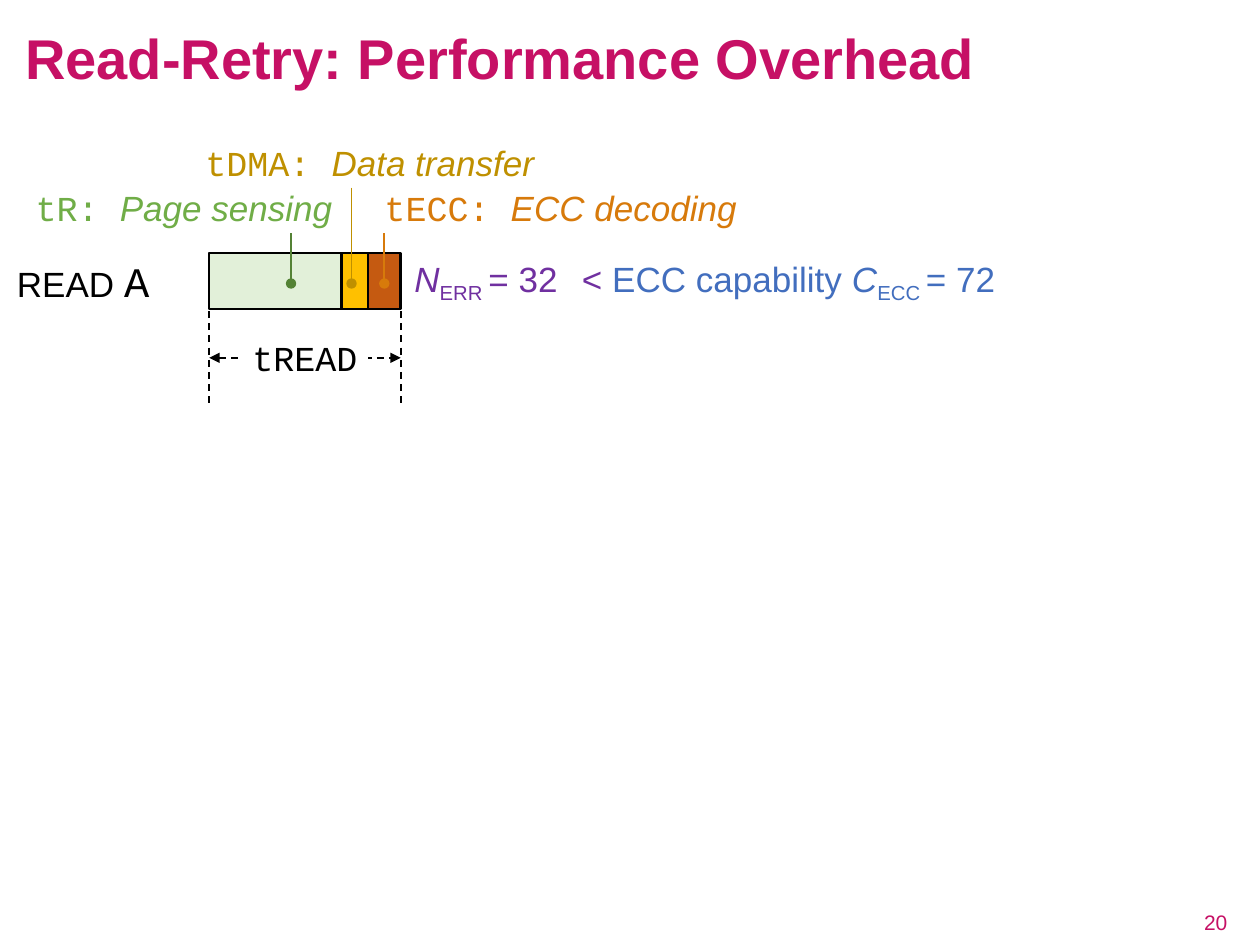
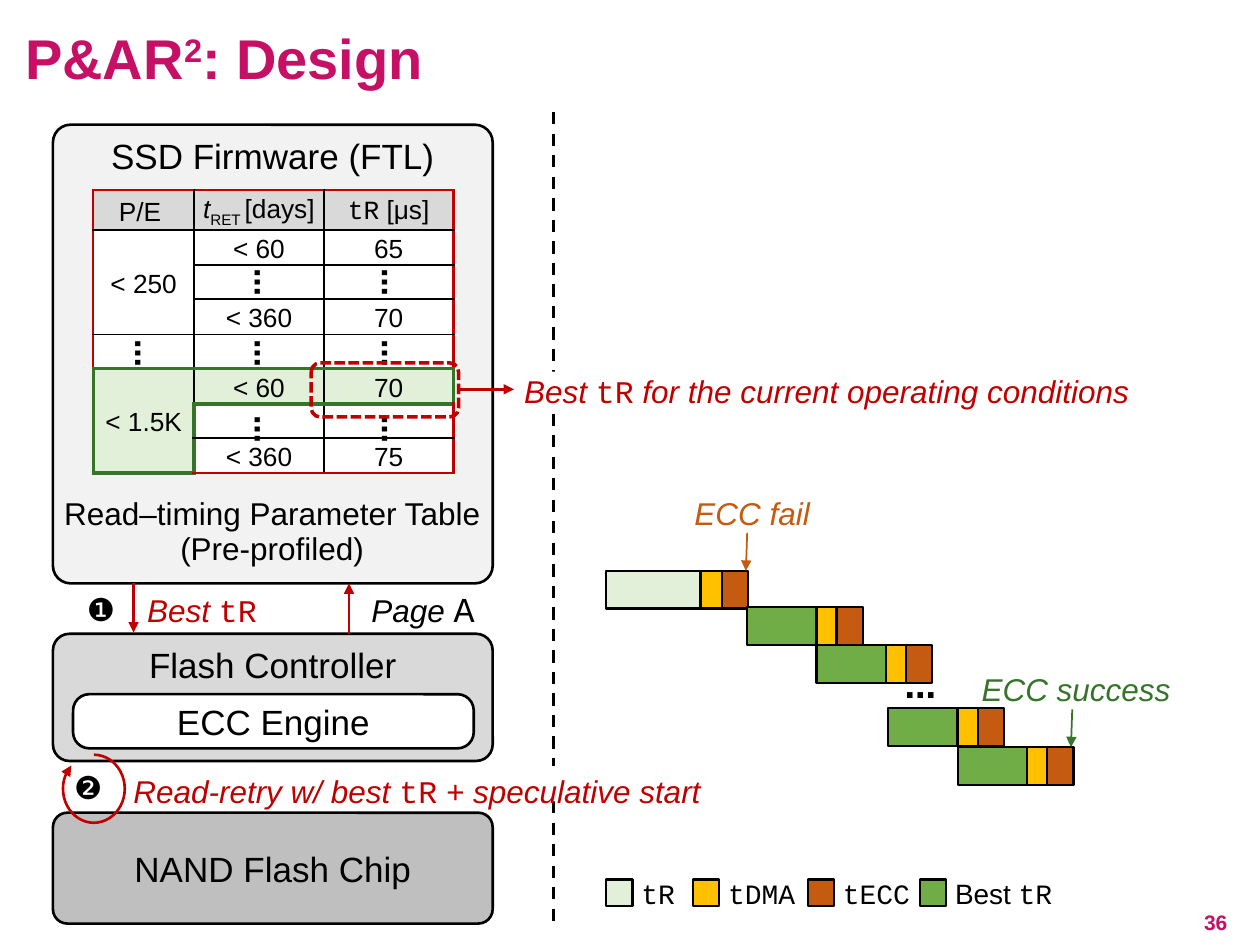
"""Build two slides on NAND flash read-retry overhead and the P&AR² design."""
from dataclasses import dataclass
from typing import NamedTuple, Optional

import pptx
import pptx.dml.color
import pptx.enum.dml
import pptx.enum.shapes
import pptx.enum.text
import pptx.oxml
import pptx.oxml.ns
import pptx.util
from lxml import etree

Inches = pptx.util.Inches
SHAPES = pptx.enum.shapes.MSO_SHAPE
ALIGN = pptx.enum.text.PP_ALIGN
ANCHOR = pptx.enum.text.MSO_ANCHOR
DASH = pptx.enum.dml.MSO_LINE

COLORS = {
    "title": "C61065", "black": "000000", "white": "FFFFFF",
    "errors": "7030A0", "capability": "426EBE",
    "sensing": "E2F0D9", "transfer": "FFC000", "decoding": "C55A11", "best": "70AD47",
    "sensing_pin": "548235", "transfer_pin": "BF9000", "decoding_pin": "D77A0B",
    "red": "C00000", "green": "357429",
    "firmware": "F2F2F2", "controller": "D9D9D9", "chip": "BFBFBF",
}
MONO = "Courier New"
DEFAULT_INSETS = (0.1, 0.05, 0.1, 0.05)
NO_INSETS = (0, 0, 0, 0)
LABEL_INSETS = (0.08, 0, 0, 0)
BLOCK_INSETS = (0, 0.04, 0, 0.04)


class Box(NamedTuple):
    left: float
    top: float
    width: float
    height: float


@dataclass
class Span:
    text: str
    size: float = 20
    color: str = "black"
    font: str = "Arial"
    italic: bool = False
    bold: bool = False
    baseline: int = 0


@dataclass
class Stroke:
    color: str = "black"
    width: float = 1.25
    dash: Optional[int] = None
    head: Optional[str] = None
    tail: Optional[str] = None


class Pin(NamedTuple):
    box: Box
    symbol: str
    meaning: str
    color: str
    pin_color: str
    x: float
    start: float
    insets: tuple


class Block(NamedTuple):
    box: Box
    corner: float
    fill: str
    label: str
    anchor: int


OUTLINE = Stroke()


def rgb(name: str) -> pptx.dml.color.RGBColor:
    return pptx.dml.color.RGBColor.from_string(COLORS[name])


def apply(target: object, values: dict) -> None:
    for name, value in values.items():
        setattr(target, name, value)


def write(frame, spans: list[Span], align=ALIGN.LEFT) -> None:
    paragraph = frame.paragraphs[0]
    paragraph.alignment = align
    for span in spans:
        run = paragraph.add_run()
        run.text = span.text
        apply(run.font, {"name": span.font, "size": pptx.util.Pt(span.size),
                         "italic": span.italic, "bold": span.bold})
        run.font.color.rgb = rgb(span.color)
        if span.baseline:
            run.font._element.set("baseline", str(span.baseline * 1000))


def fit(frame, insets: tuple, anchor) -> None:
    sides = ("margin_left", "margin_top", "margin_right", "margin_bottom")
    apply(frame, {"word_wrap": True, "vertical_anchor": anchor,
                  **dict(zip(sides, map(Inches, insets)))})


def add_text(slide, box: Box, spans: list[Span], align=ALIGN.LEFT, insets: tuple = NO_INSETS,
             anchor=ANCHOR.MIDDLE, fill: Optional[str] = None, rotation: float = 0):
    label = slide.shapes.add_textbox(*map(Inches, box))
    label.rotation = rotation
    if fill:
        label.fill.solid()
        label.fill.fore_color.rgb = rgb(fill)
    fit(label.text_frame, insets, anchor)
    write(label.text_frame, spans, align)
    return label


def draw_stroke(line, stroke: Stroke) -> None:
    line.color.rgb = rgb(stroke.color)
    line.width = pptx.util.Pt(stroke.width)
    if stroke.dash:
        line.dash_style = stroke.dash
    for tag, kind in (("a:headEnd", stroke.head), ("a:tailEnd", stroke.tail)):
        if kind:
            etree.SubElement(line._get_or_add_ln(), pptx.oxml.ns.qn(tag), type=kind)


def add_shape(slide, box: Box, fill: Optional[str], stroke: Stroke = OUTLINE,
              kind=SHAPES.RECTANGLE, adjustments: tuple = ()):
    shape = slide.shapes.add_shape(kind, *map(Inches, box))
    shape.shadow.inherit = False
    for index, value in enumerate(adjustments):
        shape.adjustments[index] = value
    if fill:
        shape.fill.solid()
        shape.fill.fore_color.rgb = rgb(fill)
    else:
        shape.fill.background()
    draw_stroke(shape.line, stroke)
    return shape


def add_line(slide, start: tuple, end: tuple, stroke: Stroke) -> None:
    connector = slide.shapes.add_connector(
        pptx.enum.shapes.MSO_CONNECTOR.STRAIGHT, *map(Inches, start + end))
    draw_stroke(connector.line, stroke)
    etree.SubElement(connector._element.spPr, pptx.oxml.ns.qn("a:effectLst"))


def add_read(slide, left: float, top: float, widths: tuple, height: float, first: str) -> None:
    for width, phase in zip(widths, (first, "transfer", "decoding")):
        add_shape(slide, Box(left, top, width, height), phase)
        left += width


def start_slide(deck, title: list[tuple], number: str, bold_number: bool):
    slide = deck.slides.add_slide(deck.slide_layouts[6])
    heading = add_text(slide, Box(0, 0, 10, 0.89),
                       [Span(text, 32, "title", bold=True, baseline=raised) for text, raised in title],
                       insets=(0.2, 0.08, 0.2, 0))
    heading.text_frame.paragraphs[0].line_spacing = 0.9
    add_text(slide, Box(7.6, 7.12, 2.24, 0.4), [Span(number, 12, "title", bold=bold_number)],
             ALIGN.RIGHT, DEFAULT_INSETS)
    return slide


def build_overhead(deck) -> None:
    slide = start_slide(deck, [("Read-Retry: Performance Overhead", 0)], "20", False)
    purple, blue = "errors", "capability"
    add_text(slide, Box(3.19, 2.01, 2.51, 0.44),
             [Span("N", color=purple, italic=True), Span("ERR ", color=purple, baseline=-25),
              Span("= 32", color=purple)], insets=DEFAULT_INSETS)
    add_text(slide, Box(4.17, 2.01, 4.1, 0.44),
             [Span(" < ", color=purple), Span("ECC capability ", color=blue),
              Span("C", color=blue, italic=True), Span("ECC ", color=blue, baseline=-25),
              Span("= 72", color=blue)], ALIGN.CENTER, DEFAULT_INSETS)
    add_text(slide, Box(0, 2.03, 1.24, 0.4), [Span("READ "), Span("A", 24, font=MONO)],
             ALIGN.CENTER, LABEL_INSETS)

    start, end = 1.66, 3.18
    add_read(slide, start, 2.01, (1.05, 0.21, 0.26), 0.44, "sensing")
    add_line(slide, (start, 2.84), (end, 2.84),
             Stroke(width=1, dash=DASH.DASH, head="triangle", tail="triangle"))
    add_text(slide, Box(1.92, 2.67, 1, 0.34), [Span("tREAD", font=MONO)], ALIGN.CENTER, fill="white")
    for x in (start, end):
        add_line(slide, (x, 2.47), (x, 3.24), Stroke(width=1, dash=DASH.DASH))

    pins = [
        Pin(Box(0.17, 1.48, 2.58, 0.34), "tR: ", "Page sensing", "best", "sensing_pin",
            2.31, 1.85, NO_INSETS),
        Pin(Box(1.22, 1.12, 3.43, 0.34), "tDMA: ", "Data transfer", "transfer_pin", "transfer_pin",
            2.79, 1.49, NO_INSETS),
        Pin(Box(2.87, 1.48, 3.08, 0.34), "tECC: ", "ECC decoding", "decoding_pin", "decoding_pin",
            3.05, 1.85, LABEL_INSETS),
    ]
    for pin in pins:
        add_text(slide, pin.box, [Span(pin.symbol, color=pin.color, font=MONO),
                                  Span(pin.meaning, color=pin.color, italic=True)],
                 ALIGN.CENTER, pin.insets)
        add_line(slide, (pin.x, pin.start), (pin.x, 2.25), Stroke(pin.pin_color, 1, tail="oval"))


def add_border(cell, side: str, color: str, width: float) -> None:
    properties = cell._tc.get_or_add_tcPr()
    edge = etree.SubElement(properties, pptx.oxml.ns.qn(f"a:ln{side}"), w=str(pptx.util.Pt(width)))
    fill = etree.SubElement(edge, pptx.oxml.ns.qn("a:solidFill"))
    etree.SubElement(fill, pptx.oxml.ns.qn("a:srgbClr"), val=COLORS[color])


def add_timing_table(slide) -> None:
    rows = [["P/E ", None, None], ["< 250", "< 60", "65"], ["", "", ""], ["", "< 360", "70"],
            ["", "", ""], ["< 1.5K", "< 60", "70"], ["", "", ""], ["", "< 360", "75"]]
    headings = {
        1: [Span("t", 15, italic=True), Span("RET ", 15, baseline=-25), Span("[days]", 15)],
        2: [Span("tR", 15, font=MONO), Span(" [μs]", 15)],
    }
    chosen = {(5, 0), (6, 0), (7, 0), (5, 1), (5, 2)}
    heights = [0.31] + [0.27] * 7
    widths = [0.8, 1.03, 1.03]
    table = slide.shapes.add_table(8, 3, *map(Inches, (0.74, 1.51, sum(widths), sum(heights)))).table
    apply(table, {"first_row": False, "horz_banding": False})
    for column, width in zip(table.columns, widths):
        column.width = Inches(width)
    for row, height in zip(table.rows, heights):
        row.height = Inches(height)
    for top in (1, 5):
        table.cell(top, 0).merge(table.cell(top + 2, 0))

    for r, texts in enumerate(rows):
        for c, text in enumerate(texts):
            cell = table.cell(r, c)
            apply(cell, {"vertical_anchor": ANCHOR.MIDDLE, "margin_left": 0, "margin_right": 0,
                         "margin_top": Inches(0.03), "margin_bottom": 0})
            if text == "":
                cell.text_frame.paragraphs[0]._p.get_or_add_endParaRPr().set("sz", "1200")
            else:
                write(cell.text_frame, headings[c] if text is None else [Span(text, 15)], ALIGN.CENTER)
            if cell.is_spanned:
                continue
            below = r + (cell.span_height if cell.is_merge_origin else 1)
            neighbours = {"L": (r, c - 1), "R": (r, c + 1), "T": (r - 1, c), "B": (below, c)}
            for side, (y, x) in neighbours.items():
                if ((r, c) in chosen) != ((y, x) in chosen):
                    add_border(cell, side, "green", 2.25)
                elif 0 <= y < len(rows) and 0 <= x < len(widths):
                    add_border(cell, side, "black", 1)
                else:
                    add_border(cell, side, "red", 1.5)
            cell.fill.solid()
            shade = "controller" if r == 0 else "sensing" if (r, c) in chosen else "white"
            cell.fill.fore_color.rgb = rgb(shade)


def best_tr(before: str, after: str = "") -> list[Span]:
    spans = [Span(before, 18, "red", italic=True), Span("tR", 18, "red", MONO)]
    return spans + ([Span(after, 18, "red", italic=True)] if after else [])


def build_design(deck) -> None:
    slide = start_slide(deck, [("P&AR", 0), ("2", 30), (": Design", 0)], "36", True)
    blocks = [
        Block(Box(0.42, 0.99, 3.49, 3.64), 0.04, "firmware", "SSD Firmware (FTL)", ANCHOR.TOP),
        Block(Box(0.42, 5.03, 3.49, 1.01), 0.13, "controller", "Flash Controller", ANCHOR.TOP),
        Block(Box(0.42, 6.45, 3.49, 0.88), 0.13, "chip", "NAND Flash Chip", ANCHOR.MIDDLE),
        Block(Box(0.58, 5.51, 3.18, 0.43), 0.3, "white", "ECC Engine", ANCHOR.MIDDLE),
    ]
    for block in blocks:
        shape = add_shape(slide, block.box, block.fill, Stroke(width=1.5),
                          SHAPES.ROUNDED_RECTANGLE, (block.corner,))
        fit(shape.text_frame, BLOCK_INSETS, block.anchor)
        write(shape.text_frame, [Span(block.label)], ALIGN.CENTER)

    add_timing_table(slide)
    for top, caption in ((3.92, "Read–timing Parameter Table"), (4.2, "(Pre-profiled)")):
        add_text(slide, Box(0.25, top, 3.82, 0.3), [Span(caption, 18)], ALIGN.CENTER)
    gaps = [(x, y) for y in (2.1, 2.66, 3.26) for x in (1.91, 2.92)] + [(0.96, 2.66)]
    for x, y in gaps:
        add_text(slide, Box(x, y, 0.29, 0.29), [Span("⋯", 16, font="Calibri", bold=True)],
                 ALIGN.CENTER, rotation=90)

    add_line(slide, (4.39, 0.89), (4.39, 7.32), Stroke(width=1.75, dash=DASH.DASH))
    add_shape(slide, Box(2.47, 2.88, 1.17, 0.43), None, Stroke("red", 2, DASH.SQUARE_DOT),
              SHAPES.ROUNDED_RECTANGLE)
    add_text(slide, Box(4.08, 2.95, 5.56, 0.3),
             best_tr("Best ", " for the current operating conditions"),
             insets=LABEL_INSETS, fill="white")
    red_arrow = Stroke("red", 1.5, tail="triangle")
    for start, end in (((3.64, 3.09), (4.08, 3.09)), ((1.06, 4.63), (1.06, 5.02)),
                       ((2.77, 5.03), (2.77, 4.63))):
        add_line(slide, start, end, red_arrow)

    notes = [
        (Box(1.07, 4.64, 1.13, 0.4), best_tr("Best "), None),
        (Box(0.59, 4.63, 0.51, 0.4), [Span("❶", 18)], None),
        (Box(2.85, 4.61, 1.13, 0.44), [Span("Page ", 18, italic=True), Span("A", font=MONO)], None),
        (Box(0.96, 6.08, 5.72, 0.28), best_tr("Read-retry w/ best ", " + speculative start"), "white"),
        (Box(0.49, 6.05, 0.51, 0.4), [Span("❷", 18)], None),
    ]
    for box, spans, fill in notes:
        add_text(slide, box, spans, insets=DEFAULT_INSETS, anchor=ANCHOR.TOP, fill=fill)
    add_shape(slide, Box(0.5, 5.99, 0.49, 0.54), None, red_arrow, SHAPES.ARC, (162, 135.54))

    add_read(slide, 4.81, 4.53, (0.75, 0.17, 0.21), 0.3, "sensing")
    for left, top in ((5.93, 4.82), (6.48, 5.12), (7.05, 5.62), (7.6, 5.93)):
        add_read(slide, left, top, (0.55, 0.16, 0.21), 0.3, "best")
    add_text(slide, Box(7.15, 5.36, 0.31, 0.29), [Span("⋯", 18, font="Calibri", bold=True)], ALIGN.CENTER)
    for left, top, verdict, color, x in ((5.12, 3.92, "ECC fail", "decoding", 5.92),
                                         (7.69, 5.32, "ECC success", "green", 8.5)):
        add_text(slide, Box(left, top, 1.62, 0.3), [Span(verdict, 18, color, italic=True)],
                 ALIGN.CENTER, LABEL_INSETS)
        add_line(slide, (x + 0.01, top + 0.31), (x, top + 0.61), Stroke(color, 1, tail="triangle"))

    legend = [(4.81, "sensing", [Span("tR", 16, font=MONO)]),
              (5.5, "transfer", [Span("tDMA", 16, font=MONO)]),
              (6.41, "decoding", [Span("tECC", 16, font=MONO)]),
              (7.3, "best", [Span("Best ", 16), Span("tR", 16, font=MONO)])]
    for left, phase, spans in legend:
        add_shape(slide, Box(left, 6.98, 0.21, 0.21), phase)
        add_text(slide, Box(left + 0.28, 6.94, 1.16, 0.3), spans, insets=(0, 0.05, 0, 0.05))


def main() -> None:
    deck = pptx.Presentation()
    apply(deck, {"slide_width": Inches(10), "slide_height": Inches(7.5)})
    build_overhead(deck)
    build_design(deck)
    deck.save("out.pptx")


if __name__ == "__main__":
    main()
